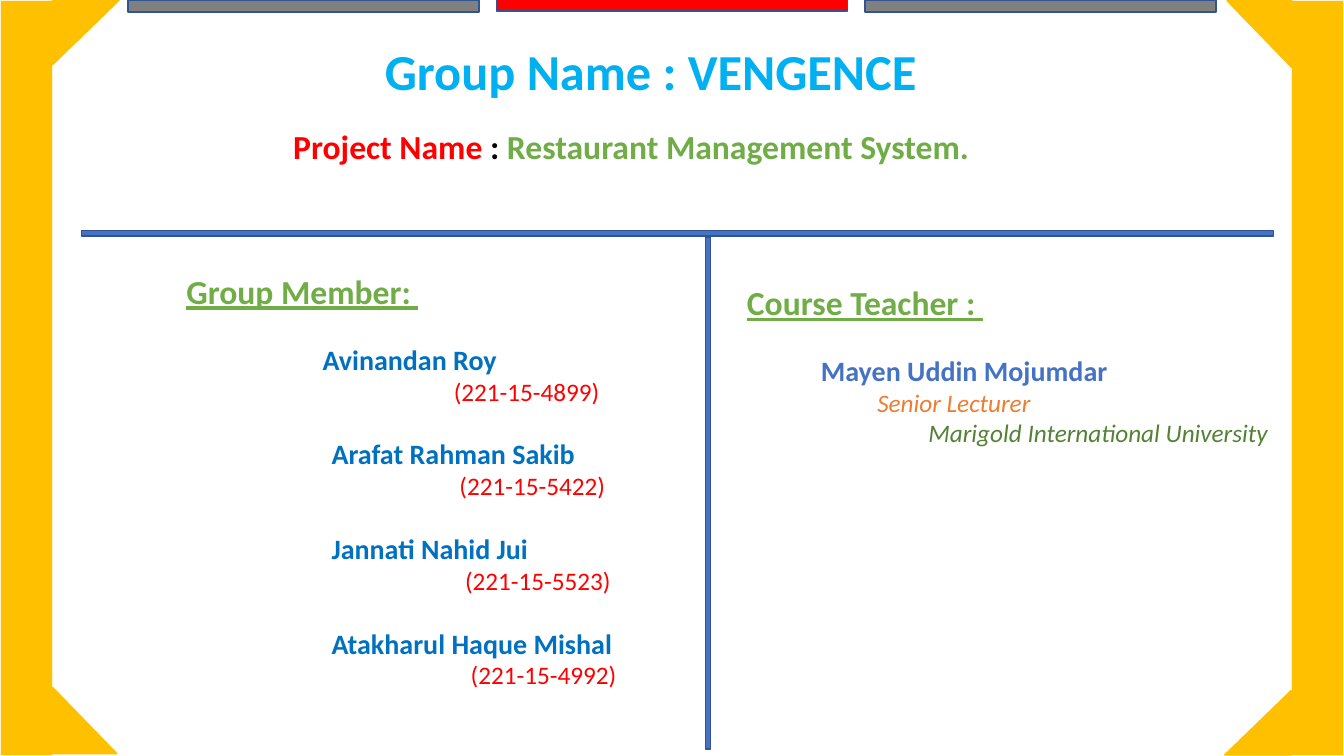
from pptx import Presentation
from pptx.dml.color import RGBColor as RGB
from pptx.enum.shapes import MSO_SHAPE as Shape
from pptx.util import Inches, Pt

GOLD = RGB(0xFF, 0xC0, 0x00)
CREAM = RGB(0xFF, 0xF2, 0xCC)
BLUE = RGB(0x44, 0x72, 0xC4)
NAVY = RGB(0x32, 0x54, 0x91)
SKY = RGB(0x00, 0xB0, 0xF0)
AZURE = RGB(0x00, 0x70, 0xC0)
GREEN = RGB(0x70, 0xAD, 0x47)
MOSS = RGB(0x54, 0x82, 0x35)
RED = RGB(0xFF, 0x00, 0x00)
ORANGE = RGB(0xED, 0x7D, 0x31)
GRAY = RGB(0x80, 0x80, 0x80)
BLACK = RGB(0x00, 0x00, 0x00)


class Page:
    face = "Calibri"
    gap = Pt(22)

    def __init__(self, deck):
        self.wide, self.high = deck.slide_width, deck.slide_height
        self.slide = deck.slides.add_slide(deck.slide_layouts[6])

    def across(self, share):
        return round(self.wide * share / 100)

    def place(self, left, top, width, height):
        return (self.across(left), round(self.high * top / 100),
                self.across(width), round(self.high * height / 100))

    def block(self, area, fill, edge, kind=Shape.RECTANGLE, turn=0):
        item = self.slide.shapes.add_shape(kind, *self.place(*area))
        item.shadow.inherit = False
        item.fill.solid()
        item.fill.fore_color.rgb = fill
        item.line.color.rgb = edge
        item.line.width = Pt(1)
        item.rotation = turn

    def box(self, area):
        frame = self.slide.shapes.add_textbox(*self.place(*area)).text_frame
        frame.word_wrap = True
        return frame

    def words(self, frame, parts, size, indent=0, space=False, bold=False,
              italic=False, under=False):
        first = frame.paragraphs[0]
        para = frame.add_paragraph() if first.runs else first
        font = para.font
        font.name, font.size = self.face, Pt(size)
        font.bold, font.italic, font.underline = bold, italic, under
        if len(parts) == 1:
            font.color.rgb = parts[0][1]
        if space:
            para.space_before = self.gap
        if indent:
            para._p.get_or_add_pPr().set("marL", str(self.across(indent)))
        for text, color in parts:
            run = para.add_run()
            run.text = text
            if len(parts) > 1:
                run.font.color.rgb = color


def main():
    deck = Presentation()
    deck.slide_width, deck.slide_height = Inches(13.33), Inches(7.5)
    page = Page(deck)

    sides = [(96.1, [(91.3, 0.1, 180), (91.2, 91.2, 270)]),
             (0, [(3.9, 90.9, 0), (3.98, -0.1, 90)])]
    for left, corners in sides:
        page.block((left, 0, 3.9, 100), GOLD, CREAM)
        for x, y, turn in corners:
            page.block((x, y, 4.8, 8.8), GOLD, GOLD, Shape.RIGHT_TRIANGLE, turn)

    title = page.box((27.9, 4.67, 64.35, 9.47))
    page.words(title, [("Group Name : VENGENCE", SKY)], 36, bold=True)

    project = page.box((21.08, 16, 72.7, 6.67))
    page.words(project, [("Project Name ", RED), (": ", BLACK),
                         ("Restaurant Management System.", GREEN)], 24, bold=True)

    group = page.box((13.13, 35.2, 34.13, 56.93))
    page.words(group, [("Group Member: ", GREEN)], 24, bold=True, under=True)
    members = [("Avinandan Roy", "(221-15-4899)", 10.13),
               ("Arafat Rahman Sakib", "(221-15-5422)", 10.8),
               ("Jannati Nahid Jui", "(221-15-5523)", 10.8),
               ("Atakharul Haque Mishal", "(221-15-4992)", 10.8)]
    for i, (name, code, indent) in enumerate(members):
        page.words(group, [(name, AZURE)], 20, indent, space=True, bold=True)
        page.words(group, [(code, RED)], 18, 19.9 + 0.42 * i)

    page.block((52.5, 31.33, 0.38, 67.73), BLUE, NAVY)

    teacher = page.box((54.84, 36.67, 42.1, 27.33))
    page.words(teacher, [("Course Teacher : ", GREEN)], 24, bold=True, under=True)
    page.words(teacher, [("Mayen Uddin Mojumdar", BLUE)], 20, 5.5,
               space=True, bold=True)
    page.words(teacher, [("Senior Lecturer", ORANGE)], 18, 9.7, italic=True)
    page.words(teacher, [("Marigold International University", MOSS)], 18, 13.5,
               italic=True)

    page.block((6.08, 30.53, 88.67, 0.67), BLUE, NAVY)
    for i, (fill, top) in enumerate([(GRAY, 0), (RED, -0.13), (GRAY, 0)]):
        page.block((9.53 + 27.42 * i, top, 26.1, 1.6), fill, NAVY)

    deck.save("out.pptx")


if __name__ == "__main__":
    main()
